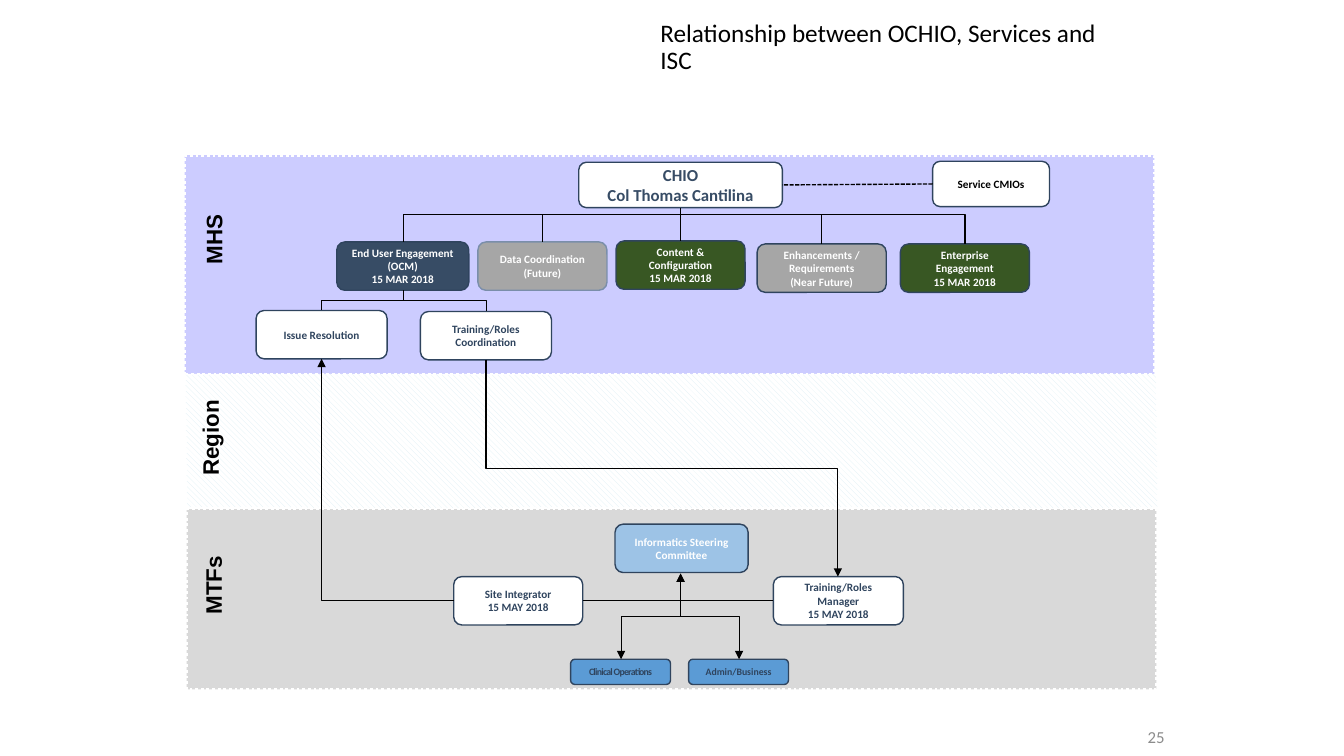
from lxml.etree import SubElement
from pptx import Presentation
from pptx.dml.color import RGBColor
from pptx.enum.dml import MSO_LINE, MSO_PATTERN
from pptx.enum.shapes import MSO_CONNECTOR as Connector, MSO_SHAPE as Shape
from pptx.enum.text import MSO_ANCHOR as Anchor, MSO_AUTO_SIZE as AutoSize, PP_ALIGN as Align
from pptx.oxml.ns import qn
from pptx.util import Inches, Pt

COLORS = {
    "black": "000000", "white": "FFFFFF", "number": "8C8C8C",
    "lavender": "CCCCFF", "ice": "DBEEF4", "silver": "D9D9D9",
    "navy": "2F445E", "slate": "374C65", "green": "385723",
    "gray": "A6A6A6", "haze": "7A8EAA", "sky": "9DC3E6", "blue": "5B9BD5",
}
LEFT, RIGHT, TOP, BOTTOM = 1, 3, 0, 2


def color(name):
    """Return the named colour."""
    return RGBColor.from_string(COLORS[name])


def write(frame, text, size=8, ink="black", font="Calibri", bold=False,
          align=Align.CENTER, anchor=Anchor.MIDDLE, line_spacing=None, tracking=0):
    """Fill a text frame, one paragraph for each line of the text."""
    frame.word_wrap = True
    frame.auto_size = AutoSize.NONE
    frame.vertical_anchor = anchor
    for index, line in enumerate(text.split("\n")):
        paragraph = frame.add_paragraph() if index else frame.paragraphs[0]
        paragraph.alignment = align
        if line_spacing:
            paragraph.line_spacing = line_spacing
        run = paragraph.add_run()
        run.text = line
        run.font.name = font
        run.font.size = Pt(size)
        run.font.bold = bold
        run.font.color.rgb = color(ink)
        if tracking:
            run.font._element.set("spc", str(int(tracking * 100)))


class Chart:
    """Draws the organisation chart on one slide in a shared style."""

    def __init__(self, slide):
        """Keep the slide."""
        self.slide = slide
        self.shapes = slide.shapes

    def title(self, text, left, top, width, height):
        """Place and format the title."""
        title = self.shapes.title
        title.left, title.top = Inches(left), Inches(top)
        title.width, title.height = Inches(width), Inches(height)
        write(title.text_frame, text, size=18, align=Align.LEFT, line_spacing=0.9)

    def label(self, text, left, top, width, height, rotation=0, **style):
        """Add a text box."""
        box = self.shapes.add_textbox(Inches(left), Inches(top), Inches(width), Inches(height))
        box.rotation = rotation
        write(box.text_frame, text, **style)

    def shape(self, kind, left, top, width, height, fill, line, weight):
        """Add a filled and outlined shape."""
        shape = self.shapes.add_shape(kind, Inches(left), Inches(top), Inches(width), Inches(height))
        shape.shadow.inherit = False
        shape.fill.solid()
        shape.fill.fore_color.rgb = color(fill)
        shape.line.color.rgb = color(line)
        shape.line.width = Pt(weight)
        return shape

    def band(self, left, top, width, height, fill, striped=False):
        """Add a level band with a dotted edge."""
        band = self.shape(Shape.RECTANGLE, left, top, width, height, fill, "white", 2)
        band.line.dash_style = MSO_LINE.ROUND_DOT
        if striped:
            band.fill.patterned()
            band.fill.pattern = MSO_PATTERN.WIDE_DOWNWARD_DIAGONAL
            band.fill.fore_color.rgb = color(fill)
            band.fill.back_color.rgb = color("white")

    def box(self, text, left, top, width=1.28, height=0.48, fill="white", line="navy", **style):
        """Add a rounded box with bold text."""
        box = self.shape(Shape.ROUNDED_RECTANGLE, left, top, width, height, fill, line, 1)
        write(box.text_frame, text, bold=True, **style)
        return box

    def connector(self, kind, start, end, weight=0.75, dash=None, head=False, tail=False):
        """Add a black connector between two points."""
        connector = self.shapes.add_connector(kind, *(Inches(value) for value in start + end))
        connector.line.color.rgb = color("black")
        connector.line.width = Pt(weight)
        if dash:
            connector.line.dash_style = dash
        properties = connector._element.spPr
        for tag, wanted in (("a:headEnd", head), ("a:tailEnd", tail)):
            if wanted:
                SubElement(properties.find(qn("a:ln")), qn(tag), type="triangle")
        SubElement(properties, qn("a:effectLst"))
        return connector

    def straight(self, start, end, begin=None, finish=None, **style):
        """Add a straight connector, joined to (box, side) pairs where given."""
        connector = self.connector(Connector.STRAIGHT, start, end, **style)
        if begin:
            connector.begin_connect(*begin)
        if finish:
            connector.end_connect(*finish)

    def corner(self, start, end, **style):
        """Add a connector that runs sideways, then turns once."""
        connector = self.connector(Connector.ELBOW, start, end, **style)
        connector._element.spPr.find(qn("a:prstGeom")).set("prst", "bentConnector2")

    def drop(self, start, end, **style):
        """Add a connector that runs down, sideways and down again."""
        (x1, y1), (x2, y2) = start, end
        width, height = y2 - y1, abs(x2 - x1)
        left, top = (x1 + x2 - width) / 2, (y1 + y2 - height) / 2
        connector = self.connector(
            Connector.ELBOW, (left, top), (left + width, top + height), **style)
        frame = connector._element.spPr.find(qn("a:xfrm"))
        frame.set("rot", str((270 if x2 > x1 else 90) * 60000))
        if x2 > x1:
            frame.set("flipH", "1")


def main():
    """Build and save the slide."""
    presentation = Presentation()
    presentation.slide_width, presentation.slide_height = Inches(13.33), Inches(7.5)
    chart = Chart(presentation.slides.add_slide(presentation.slide_layouts[5]))
    chart.title("Relationship between OCHIO, Services and ISC", 6.45, 0.15, 4.74, 0.65)
    chart.label("25", 10.4, 7.14, 1.25, 0.33, size=12, ink="number", align=Align.RIGHT)

    chart.band(1.83, 1.54, 9.62, 2.18, "lavender")
    chart.band(1.84, 3.71, 9.64, 1.33, "ice", striped=True)
    chart.band(1.85, 5.05, 9.62, 1.79, "silver")
    for text, left, top, width in (
            ("MHS", 1.29, 2.19, 1.66), ("Region", 1.28, 4.16, 1.61), ("MTFs", 1.21, 5.62, 1.81)):
        chart.label(text, left, top, width, 0.37, rotation=270,
                    size=16, font="Arial", bold=True, anchor=Anchor.TOP)

    chief = chart.box("CHIO\nCol Thomas Cantilina", 5.74, 1.61, 2.02, 0.45, size=12, ink="slate")
    services = chart.box("Service CMIOs", 9.25, 1.6, 1.16, 0.45)
    chart.box("End User Engagement (OCM)\n15 MAR 2018", 3.34, 2.4, 1.31, fill="slate", ink="white")
    data = chart.box("Data Coordination\n(Future)", 4.74, 2.4,
                     fill="gray", line="haze", ink="white")
    content = chart.box("Content & Configuration\n15 MAR 2018", 6.11, 2.39,
                        fill="green", ink="white")
    requirements = chart.box("Enhancements /\nRequirements\n(Near Future)", 7.51, 2.42,
                             fill="gray", ink="white")
    chart.box("Enterprise Engagement\n15 MAR 2018", 8.93, 2.42, fill="green", ink="white")
    chart.box("Issue Resolution", 2.54, 3.08, 1.3, ink="navy")
    chart.box("Training/Roles Coordination", 4.17, 3.09, 1.3, ink="navy")

    chart.box("Informatics Steering Committee", 6.1, 5.2, 1.32, fill="sky", ink="white")
    integrator = chart.box("Site Integrator\n15 MAY 2018", 4.5, 5.72, ink="navy")
    manager = chart.box("Training/Roles Manager\n15 MAY 2018", 7.67, 5.72, 1.29, ink="navy")
    chart.box("Clinical Operations", 5.66, 6.54, 0.99, 0.25,
              fill="blue", ink="navy", size=7, tracking=-0.5)
    chart.box("Admin/Business", 6.83, 6.54, 0.99, 0.25, fill="blue", ink="navy", size=7)

    chart.corner((6.82, 2.13), (4, 2.4), weight=1)
    chart.corner((6.67, 2.13), (9.57, 2.42), weight=1)
    chart.straight((6.75, 2.06), (6.75, 2.39), (chief, BOTTOM), (content, TOP))
    chart.straight((5.38, 2.13), (5.38, 2.4), finish=(data, TOP))
    chart.straight((8.15, 2.13), (8.15, 2.42), finish=(requirements, TOP))
    chart.straight((9.25, 1.83), (7.76, 1.84), (services, LEFT), (chief, RIGHT),
                   weight=1, dash=MSO_LINE.SQUARE_DOT)
    for end in ((3.19, 3.08), (4.82, 3.09)):
        chart.drop((4, 2.88), end)
    chart.corner((4.5, 5.96), (3.19, 3.56), tail=True)
    chart.drop((4.82, 3.57), (8.31, 5.72), tail=True)
    chart.straight((5.78, 5.96), (6.75, 5.96), (integrator, RIGHT))
    chart.straight((7.67, 5.96), (6.75, 5.96), (manager, LEFT))
    for x in (6.16, 7.33):
        chart.drop((6.75, 5.69), (x, 6.54), head=True, tail=True)
    presentation.save("out.pptx")


if __name__ == "__main__":
    main()
